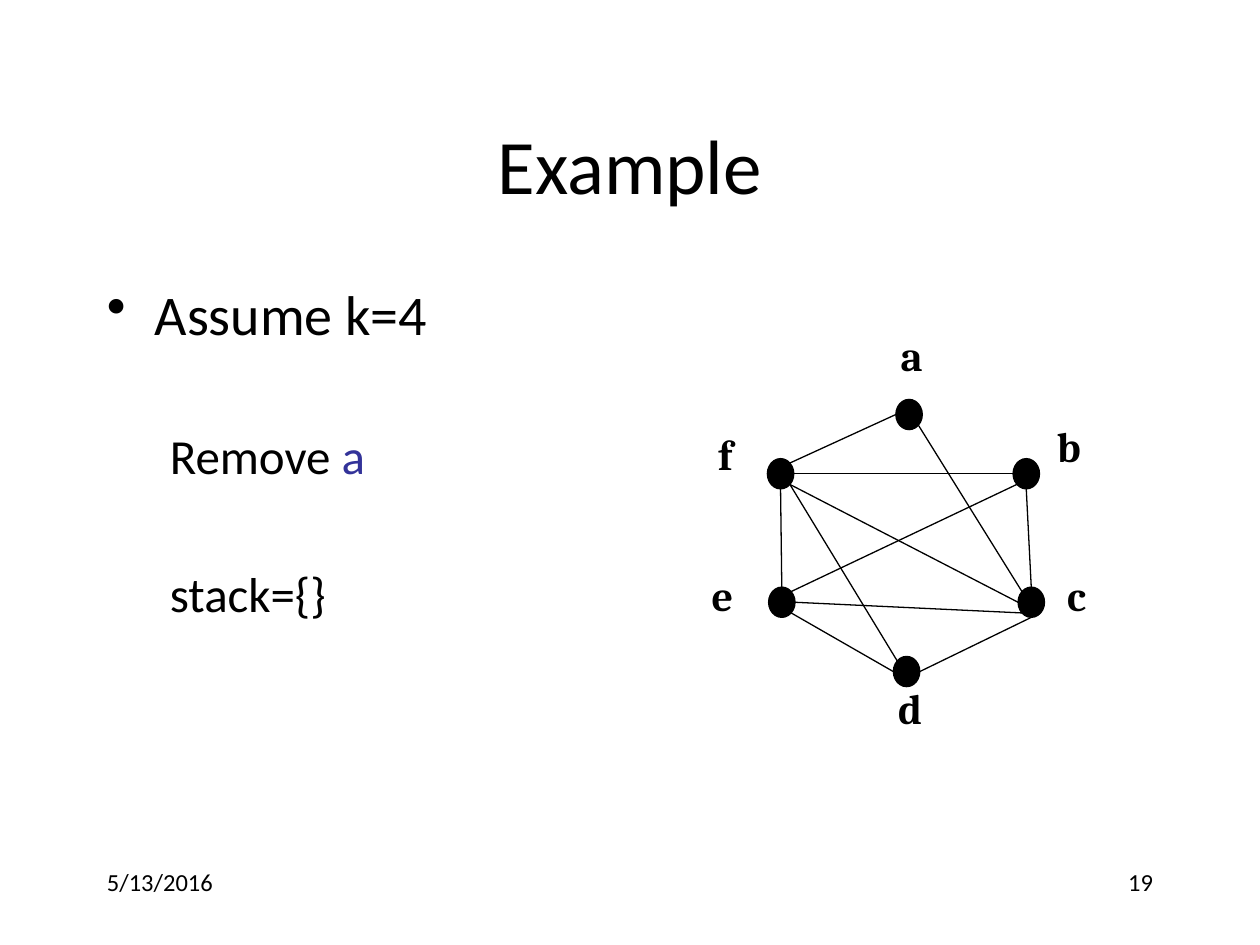
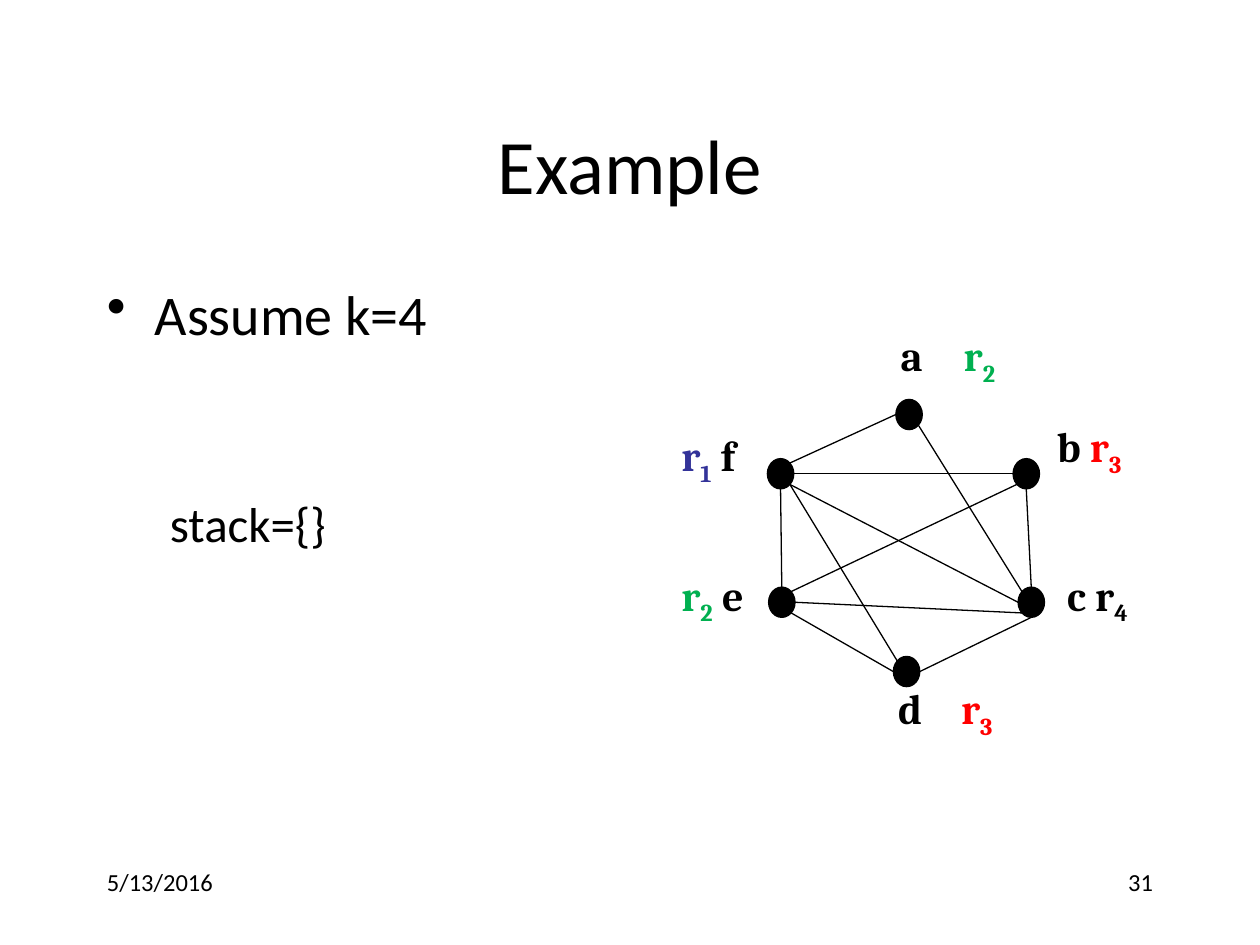
from math import cos, pi, sin

from lxml import etree
from pptx import Presentation
from pptx.dml.color import RGBColor
from pptx.enum.shapes import MSO_CONNECTOR, MSO_SHAPE
from pptx.enum.text import MSO_ANCHOR, MSO_AUTO_SIZE, PP_ALIGN
from pptx.oxml.ns import qn
from pptx.util import Emu, Pt

OVAL = MSO_SHAPE.OVAL
LINE = MSO_CONNECTOR.STRAIGHT
TOP, MIDDLE = MSO_ANCHOR.TOP, MSO_ANCHOR.MIDDLE
LEFT, CENTER, RIGHT = PP_ALIGN.LEFT, PP_ALIGN.CENTER, PP_ALIGN.RIGHT
GROW = MSO_AUTO_SIZE.SHAPE_TO_FIT_TEXT
SCALE = 9144

COLORS = {"ink": "000000", "blue": "333399", "green": "00B050", "red": "FF0000"}
SANS, SERIF = "Calibri", "Cambria"

DOT_W, DOT_H = 21, 24
NODES = {
    "a": (711, 317), "b": (804, 364), "c": (808, 466),
    "d": (709, 521), "e": (610, 466), "f": (609, 364),
}
SIDES = {side: turn * pi / 4 for turn, side in
         enumerate(("right", "low right", "low", "low left",
                    "left", "top left", "top", "top right"))}
EDGES = [
    ("a", "left", "f", "top right"),
    ("e", "top", "f", "low"),
    ("d", "top left", "f", "low right"),
    ("d", "left", "e", "low right"),
    ("a", "low right", "c", "top left"),
    ("b", "left", "f", "right"),
    ("c", "left", "f", "low right"),
    ("b", "low", "c", "top"),
    ("c", "low left", "e", "right"),
    ("c", "low", "d", "right"),
    ("b", "low left", "e", "top right"),
]
SPOTS = {
    "a": (705, 257, 54), "b": (829, 329, 86), "c": (837, 447, 101),
    "d": (703, 537, 101), "e": (555, 447, 84), "f": (560, 335, 92),
}
WIDE_SPOTS = {**SPOTS, "a": (705, 257, 99), "e": (531, 447, 84), "f": (531, 336, 92)}


def px(size):
    return Emu(round(size * SCALE))


def tint(name):
    return RGBColor.from_string(COLORS[name])


def write(para, text, size=14, font=SANS, color="ink", bold=False,
          align=LEFT, gap=0, left=0, hang=0, bullet=None, tab=None):
    props = para._p.get_or_add_pPr()
    props.set("marL", str(px(left)))
    props.set("indent", str(px(-hang)))
    if bullet:
        etree.SubElement(props, qn("a:buChar"), char=bullet)
    if tab:
        stops = etree.SubElement(props, qn("a:tabLst"))
        etree.SubElement(stops, qn("a:tab"), pos=str(px(tab)), algn="l")
    para.alignment = align
    para.space_before = Pt(gap)
    parts = [(text, color)] if isinstance(text, str) else text
    for words, shade, *sub in parts:
        run = para.add_run()
        run.text = words
        run.font.size = Pt(size)
        run.font.name = font
        run.font.bold = bold
        run.font.color.rgb = tint(shade)
        if sub:
            run._r.get_or_add_rPr().set("baseline", "-25000")


def add_frame(shapes, x, y, w, h, anchor=TOP):
    frame = shapes.add_textbox(px(x), px(y), px(w), px(h)).text_frame
    frame.word_wrap = True
    frame.vertical_anchor = anchor
    return frame


def add_base(deck, page):
    slide = deck.slides.add_slide(deck.slide_layouts[6])
    title = add_frame(slide.shapes, 75, 67, 850, 125, MIDDLE)
    write(title.paragraphs[0], "Example", size=44, align=CENTER)
    for x, text, align in ((75, "5/13/2016", LEFT), (717, page, RIGHT)):
        foot = add_frame(slide.shapes, x, 683, 208, 50)
        write(foot.paragraphs[0], text, align=align)
    return slide


def add_body(slide, steps):
    body = add_frame(slide.shapes, 75, 217, 850, 450)
    write(body.paragraphs[0], "Assume k=4", size=32, left=38, hang=38, bullet="•")
    for text, gap in steps:
        write(body.add_paragraph(), text, size=28, left=50, gap=gap)


def add_node(slide, name, spot, text):
    group = slide.shapes.add_group_shape().shapes
    x, y = NODES[name]
    dot = group.add_shape(OVAL, px(x), px(y), px(DOT_W), px(DOT_H))
    dot.shadow.inherit = False
    dot.fill.solid()
    dot.fill.fore_color.rgb = tint("ink")
    dot.line.color.rgb = tint("ink")
    dot.line.width = Pt(0.75)
    label = add_frame(group, *spot, 50)
    label.auto_size = GROW
    write(label.paragraphs[0], text, size=24, font=SERIF, bold=True,
          tab=33 if name in "ad" else None)


def rim(name, side):
    x, y = NODES[name]
    turn = SIDES[side]
    return (px(x + DOT_W / 2 * (1 + cos(turn))),
            px(y + DOT_H / 2 * (1 + sin(turn))))


def add_edge(slide, start, leave, end, reach):
    edge = slide.shapes.add_connector(LINE, *rim(start, leave), *rim(end, reach))
    edge.line.color.rgb = tint("ink")
    edge.line.width = Pt(0.75)
    etree.SubElement(edge._element.spPr, qn("a:effectLst"))


def add_graph(slide, spots, labels):
    for name in NODES:
        add_node(slide, name, spots[name], labels[name])
    for edge in EDGES:
        add_edge(slide, *edge)


def after(name, space, color, index):
    return [(name + space, "ink"), ("r", color), (index, color, "sub")]


def before(name, color, index):
    return [("r", color), (index, color, "sub"), (" " + name, "ink")]


def main():
    deck = Presentation()
    deck.slide_width, deck.slide_height = px(1000), px(750)

    first = add_base(deck, "19")
    add_body(first, [([("Remove ", "ink"), ("a", "blue")], 45), ("stack={}", 45)])
    add_graph(first, SPOTS, {name: name for name in NODES})

    last = add_base(deck, "31")
    add_body(last, [("stack={}", 84)])
    add_graph(last, WIDE_SPOTS, {
        "a": after("a", "\t", "green", "2"),
        "b": after("b", " ", "red", "3"),
        "c": after("c", " ", "ink", "4"),
        "d": after("d", "\t", "red", "3"),
        "e": before("e", "green", "2"),
        "f": before("f", "blue", "1"),
    })
    deck.save("out.pptx")


if __name__ == "__main__":
    main()
